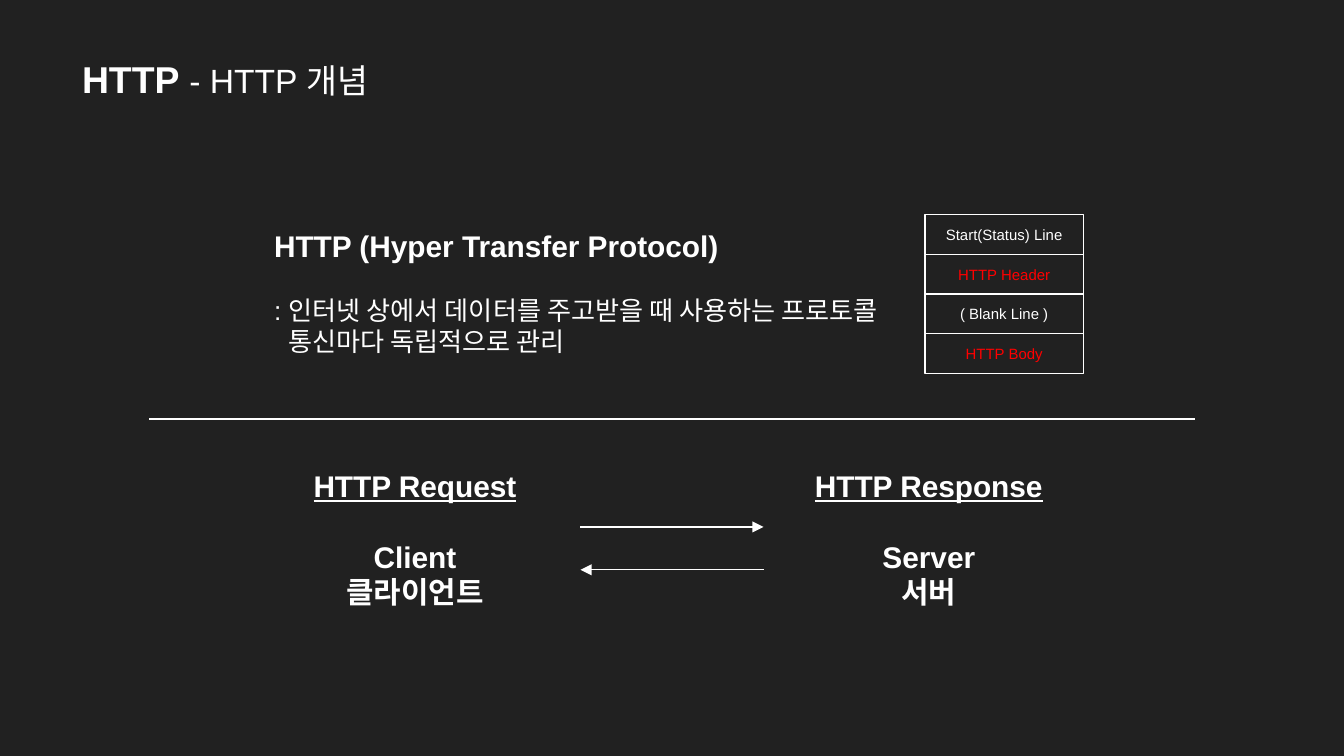
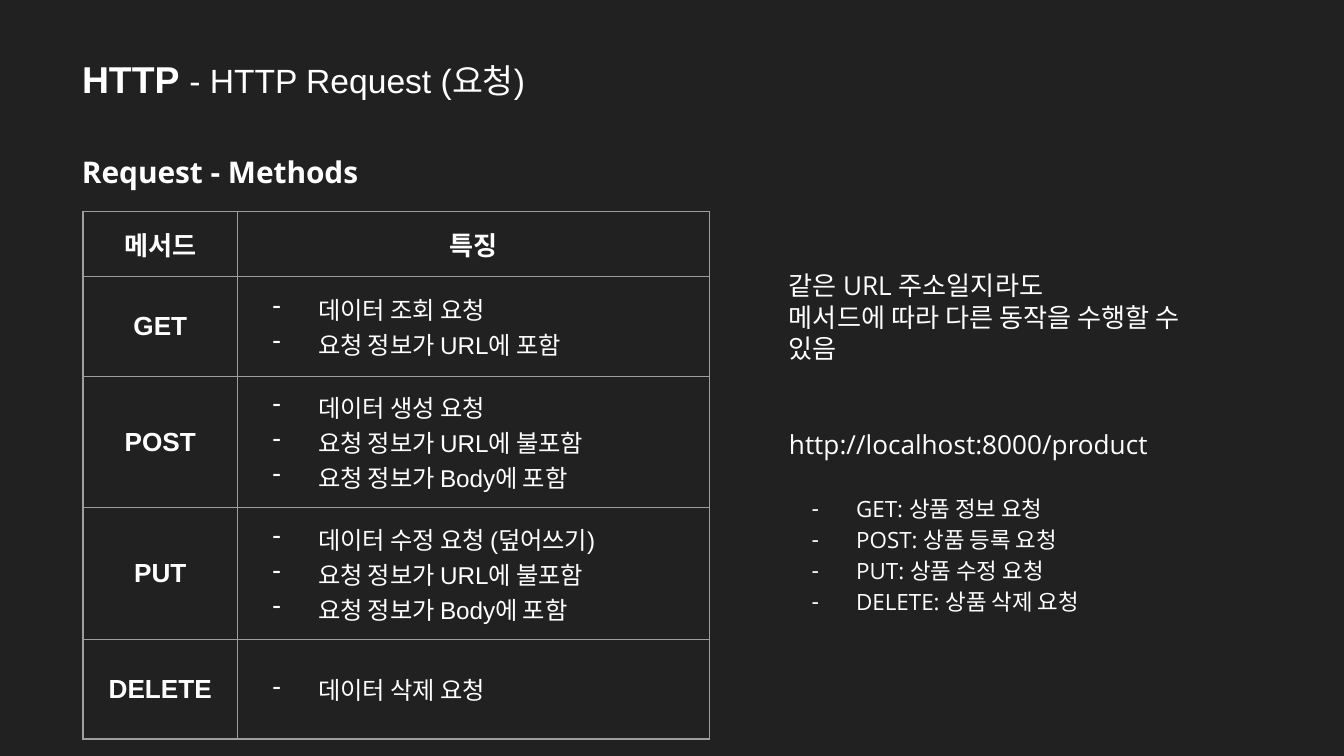
from lxml.etree import SubElement
from pptx import Presentation
from pptx.dml.color import RGBColor
from pptx.enum.shapes import MSO_CONNECTOR, MSO_SHAPE
from pptx.enum.text import MSO_ANCHOR, MSO_AUTO_SIZE, PP_ALIGN
from pptx.oxml.ns import qn
from pptx.util import Cm, Pt

BACKGROUND, WHITE, RED, GRID = "212121", "FFFFFF", "FF0000", "9E9E9E"
SANS, OPEN = "Arial", "Open Sans"
MARGIN = Cm(0.25)

METHODS = [
    ("GET", ["데이터 조회 요청", "요청 정보가 URL에 포함"]),
    ("POST", ["데이터 생성 요청", "요청 정보가 URL에 불포함", "요청 정보가 Body에 포함"]),
    ("PUT", ["데이터 수정 요청 (덮어쓰기)", "요청 정보가 URL에 불포함", "요청 정보가 Body에 포함"]),
    ("DELETE", ["데이터 삭제 요청"]),
]


def rgb(color):
    return RGBColor.from_string(color)


def add_run(p, text, size=14, font=SANS, color=WHITE, bold=False, underline=False):
    r = p.add_run()
    r.text = text
    r.font.name, r.font.size = font, Pt(size)
    r.font.bold, r.font.underline = bold, underline
    r.font.color.rgb = rgb(color)


def add_text(tf, text, align=PP_ALIGN.LEFT, line=None, before=0, indent=0,
             hanging=0, **run_format):
    """Add a paragraph; a hanging indent (cm) gives it a dash bullet."""
    p = tf.paragraphs[0] if not tf.paragraphs[0].runs else tf.add_paragraph()
    p.alignment = align
    p.space_before = Pt(before)
    if line:
        p.line_spacing = Pt(line)
    pPr = p._p.get_or_add_pPr()
    pPr.set("marL", str(Cm(indent)))
    pPr.set("indent", str(-Cm(hanging)))
    if hanging:
        color = SubElement(pPr, qn("a:buClr"))
        SubElement(color, qn("a:srgbClr"), val=WHITE)
        SubElement(pPr, qn("a:buChar"), char="-")
    else:
        SubElement(pPr, qn("a:buNone"))
    add_run(p, text, **run_format)
    return p


def format_frame(sp, anchor=MSO_ANCHOR.TOP):
    tf = sp.text_frame
    tf.word_wrap = True
    tf.auto_size = MSO_AUTO_SIZE.NONE
    tf.vertical_anchor = anchor
    tf.margin_left = tf.margin_right = tf.margin_top = tf.margin_bottom = MARGIN
    return tf


def place(sp, left, top, width, height):
    sp.left, sp.top, sp.width, sp.height = Cm(left), Cm(top), Cm(width), Cm(height)


def add_box(s, left, top, width, height, anchor=MSO_ANCHOR.TOP):
    sp = s.shapes.add_textbox(Cm(left), Cm(top), Cm(width), Cm(height))
    return format_frame(sp, anchor)


def body_frame(s, left, top, width, height, anchor=MSO_ANCHOR.TOP):
    sp = s.placeholders[1]
    place(sp, left, top, width, height)
    return format_frame(sp, anchor)


def add_line(s, x1, x2, y, arrow=False):
    line = s.shapes.add_connector(MSO_CONNECTOR.STRAIGHT, Cm(x1), Cm(y), Cm(x2), Cm(y))
    line.line.color.rgb = rgb(WHITE)
    line.line.width = Pt(0.75)
    if arrow:
        SubElement(line.line._get_or_add_ln(), qn("a:tailEnd"), type="triangle")
    SubElement(line._element.spPr, qn("a:effectLst"))


def new_slide(prs, topic):
    s = prs.slides.add_slide(prs.slide_layouts[1])
    place(s.shapes.title, 1.3, 0.84, 15.44, 1.3)
    tf = format_frame(s.shapes.title, MSO_ANCHOR.MIDDLE)
    p = add_text(tf, "HTTP ", size=20, bold=True)
    add_run(p, f"- {topic}", size=18)
    return s


def definition(s, *box):
    tf = body_frame(s, *box)
    add_text(tf, "HTTP (Hyper Transfer Protocol)", size=16, bold=True, line=19)
    add_text(tf, ": 인터넷 상에서 데이터를 주고받을 때 사용하는 프로토콜", line=16.6, before=16.6)
    add_text(tf, "통신마다 독립적으로 관리", line=16.6, indent=0.27)


def message_stack(s, left, top, width, height):
    parts = [("Start(Status) Line", WHITE), ("HTTP Header", RED),
             ("( Blank Line )", WHITE), ("HTTP Body", RED)]
    step = height / len(parts)
    group = s.shapes.add_group_shape()
    for i, (label, color) in enumerate(parts):
        sp = group.shapes.add_shape(MSO_SHAPE.RECTANGLE, Cm(left), Cm(top + i * step),
                                    Cm(width), Cm(step))
        sp.shadow.inherit = False
        sp.fill.background()
        sp.line.color.rgb = rgb(WHITE)
        sp.line.width = Pt(0.75)
        tf = format_frame(sp, MSO_ANCHOR.MIDDLE)
        add_text(tf, label, PP_ALIGN.CENTER, size=8, color=color)


def endpoint(s, heading, name, korean, *box):
    tf = add_box(s, *box)
    bold = dict(align=PP_ALIGN.CENTER, size=16, bold=True, line=19)
    add_text(tf, heading, underline=True, **bold)
    add_text(tf, name, before=19, **bold)
    add_text(tf, korean, **bold)


def set_borders(cell):
    tcPr = cell._tc.get_or_add_tcPr()
    for side in ("lnL", "lnR", "lnT", "lnB"):
        ln = SubElement(tcPr, qn(f"a:{side}"), w=str(Pt(0.75)))
        fill = SubElement(ln, qn("a:solidFill"))
        SubElement(fill, qn("a:srgbClr"), val=GRID)


def fill_cell(cell, lines, **text_format):
    set_borders(cell)
    cell.fill.background()
    cell.vertical_anchor = MSO_ANCHOR.MIDDLE
    cell.margin_left = cell.margin_right = cell.margin_top = cell.margin_bottom = MARGIN
    for line in lines:
        add_text(cell.text_frame, line, **text_format)


def methods_table(s, left, top, widths, heights):
    table = s.shapes.add_table(len(heights), len(widths), Cm(left), Cm(top),
                               Cm(sum(widths)), Cm(sum(heights))).table
    table.first_row = table.horz_banding = False
    for column, width in zip(table.columns, widths):
        column.width = Cm(width)
    for row, height in zip(table.rows, heights):
        row.height = Cm(height)
    head = dict(align=PP_ALIGN.CENTER, bold=True)
    fill_cell(table.cell(0, 0), ["메서드"], **head)
    fill_cell(table.cell(0, 1), ["특징"], **head)
    for i, (method, features) in enumerate(METHODS, 1):
        fill_cell(table.cell(i, 0), [method], **head)
        fill_cell(table.cell(i, 1), features, size=13, indent=1.27, hanging=0.86)


def url_notes(s, *box):
    tf = body_frame(s, *box, anchor=MSO_ANCHOR.MIDDLE)
    add_text(tf, "같은 URL 주소일지라도", font=OPEN, line=17)
    add_text(tf, "메서드에 따라 다른 동작을 수행할 수 있음", font=OPEN, line=17)
    add_text(tf, "http://localhost:8000/product", font=OPEN, line=17, before=34)
    actions = zip((method for method, _ in METHODS), ("정보", "등록", "수정", "삭제"))
    for i, (method, action) in enumerate(actions):
        add_text(tf, f"{method}: 상품 {action} 요청", font=OPEN, size=12, line=16.6,
                 before=0 if i else 17, indent=1.27, hanging=0.84)


def concept_slide(prs):
    s = new_slide(prs, "HTTP 개념")
    definition(s, 4.93, 4.06, 12.14, 3)
    message_stack(s, 17.48, 4.06, 3, 3)
    add_line(s, 2.82, 22.58, 7.92)
    endpoint(s, "HTTP Request", "Client", "클라이언트", 3.68, 8.6, 8.33, 4.55)
    endpoint(s, "HTTP Response", "Server", "서버", 13.39, 8.6, 8.33, 4.55)
    add_line(s, 10.97, 14.43, 9.96, arrow=True)
    add_line(s, 14.43, 10.97, 10.77, arrow=True)


def request_slide(prs):
    s = new_slide(prs, "HTTP Request (요청)")
    tf = add_box(s, 1.3, 2.69, 13.28, 1.12, MSO_ANCHOR.MIDDLE)
    add_text(tf, "Request - Methods", size=16, font=OPEN, bold=True)
    methods_table(s, 1.57, 4, (2.92, 8.92), (1.23, 1.88, 2.49, 2.49, 1.88))
    url_notes(s, 14.66, 4.52, 8.84, 7.67)


def main():
    prs = Presentation()
    prs.slide_width, prs.slide_height = Cm(25.4), Cm(14.29)
    background = prs.slide_master.background.fill
    background.solid()
    background.fore_color.rgb = rgb(BACKGROUND)
    concept_slide(prs)
    request_slide(prs)
    prs.save("out.pptx")


if __name__ == "__main__":
    main()
